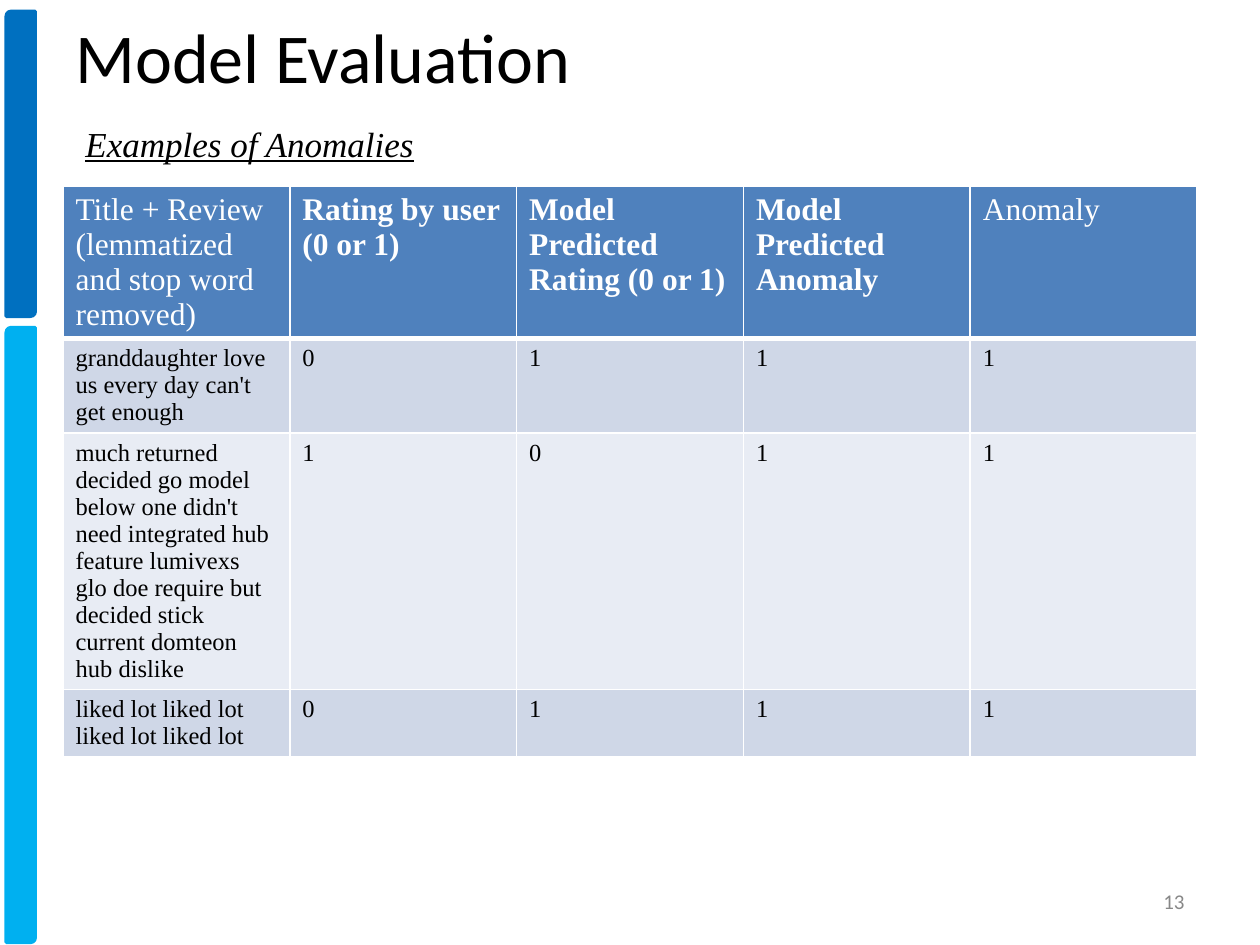
from lxml import etree
from pptx import Presentation
from pptx.dml.color import RGBColor
from pptx.enum.shapes import MSO_SHAPE
from pptx.enum.text import MSO_ANCHOR, PP_ALIGN
from pptx.oxml.ns import qn
from pptx.util import Inches, Pt

BAR_SHAPE = MSO_SHAPE.ROUND_2_DIAG_RECTANGLE
LEFT, RIGHT = PP_ALIGN.LEFT, PP_ALIGN.RIGHT
TOP, MIDDLE = MSO_ANCHOR.TOP, MSO_ANCHOR.MIDDLE

DARK_BLUE = RGBColor(0x00, 0x70, 0xC0)
LIGHT_BLUE = RGBColor(0x00, 0xB0, 0xF0)
HEADER_BLUE = RGBColor(0x4F, 0x81, 0xBD)
BAND_DARK = RGBColor(0xCF, 0xD7, 0xE7)
BAND_LIGHT = RGBColor(0xE8, 0xEC, 0xF4)
WHITE = RGBColor(0xFF, 0xFF, 0xFF)
BLACK = RGBColor(0x00, 0x00, 0x00)
GRAY = RGBColor(0x88, 0x88, 0x88)
SERIF, SANS = "Times New Roman", "Calibri"


def add_text(slide, text, left, top, width, height, font_name, size, color,
             align=LEFT, anchor=TOP):
    box = slide.shapes.add_textbox(Inches(left), Inches(top), Inches(width), Inches(height))
    box.text_frame.word_wrap = True
    box.text_frame.vertical_anchor = anchor
    paragraph = box.text_frame.paragraphs[0]
    paragraph.text = text
    paragraph.alignment = align
    paragraph.font.name = font_name
    paragraph.font.size = Pt(size)
    paragraph.font.color.rgb = color
    return paragraph


def set_borders(cell, top, bottom):
    """Draw white borders; must run before the cell fill is set."""
    properties = cell._tc.get_or_add_tcPr()
    for tag, width in (("a:lnL", 1), ("a:lnR", 1), ("a:lnT", top), ("a:lnB", bottom)):
        line = etree.SubElement(properties, qn(tag), w=str(Pt(width)))
        fill = etree.SubElement(line, qn("a:solidFill"))
        etree.SubElement(fill, qn("a:srgbClr"), val=str(WHITE))


presentation = Presentation()
presentation.slide_width = Inches(10)
presentation.slide_height = Inches(7.5)
slide = presentation.slides.add_slide(presentation.slide_layouts[6])

# Side bars
for top, height, color in ((0.09, 2.42, DARK_BLUE), (2.6, 4.88, LIGHT_BLUE)):
    bar = slide.shapes.add_shape(BAR_SHAPE, Inches(0.05), Inches(top), Inches(0.23), Inches(height))
    bar.shadow.inherit = False
    bar.fill.solid()
    bar.fill.fore_color.rgb = color
    bar.line.color.rgb = color
    bar.line.width = Pt(2)

# Table of anomalies
rows = [
    ("Title + Review (lemmatized and stop word removed)", "Rating by user (0 or 1)",
     "Model Predicted Rating (0 or 1)", "Model Predicted Anomaly", "Anomaly"),
    ("granddaughter love us every day can't get enough", "0", "1", "1", "1"),
    ("much returned decided go model below one didn't need integrated hub feature "
     "lumivexs glo doe require but decided stick current domteon hub dislike",
     "1", "0", "1", "1"),
    ("liked lot liked lot liked lot liked lot", "0", "1", "1", "1"),
]
row_heights = (1.2, 0.75, 2.03, 0.53)
row_fills = (HEADER_BLUE, BAND_DARK, BAND_LIGHT, BAND_DARK)
table = slide.shapes.add_table(len(rows), len(rows[0]), Inches(0.5), Inches(1.48),
                               Inches(9), Inches(sum(row_heights))).table
for row_index, texts in enumerate(rows):
    table.rows[row_index].height = Inches(row_heights[row_index])
    is_header = row_index == 0
    for column_index, text in enumerate(texts):
        cell = table.cell(row_index, column_index)
        set_borders(cell, top=3 if row_index == 1 else 1, bottom=3 if is_header else 1)
        cell.fill.solid()
        cell.fill.fore_color.rgb = row_fills[row_index]
        paragraph = cell.text_frame.paragraphs[0]
        paragraph.text = text
        paragraph.font.name = SERIF
        paragraph.font.size = Pt(18 if is_header else 14)
        paragraph.font.color.rgb = WHITE if is_header else BLACK
        # Only the inner header cells are bold
        paragraph.font.bold = is_header and 0 < column_index < len(texts) - 1

# Title, subtitle and slide number
add_text(slide, "Model Evaluation", 0.5, 0.06, 9.34, 0.77, SANS, 40, BLACK)
subtitle = add_text(slide, "Examples of Anomalies", 0.58, 0.92, 9, 0.4, SERIF, 20, BLACK)
subtitle.font.italic = True
subtitle.font.underline = True
add_text(slide, "13", 7.17, 6.95, 2.33, 0.4, SANS, 12, GRAY, RIGHT, MIDDLE)

presentation.save("out.pptx")
